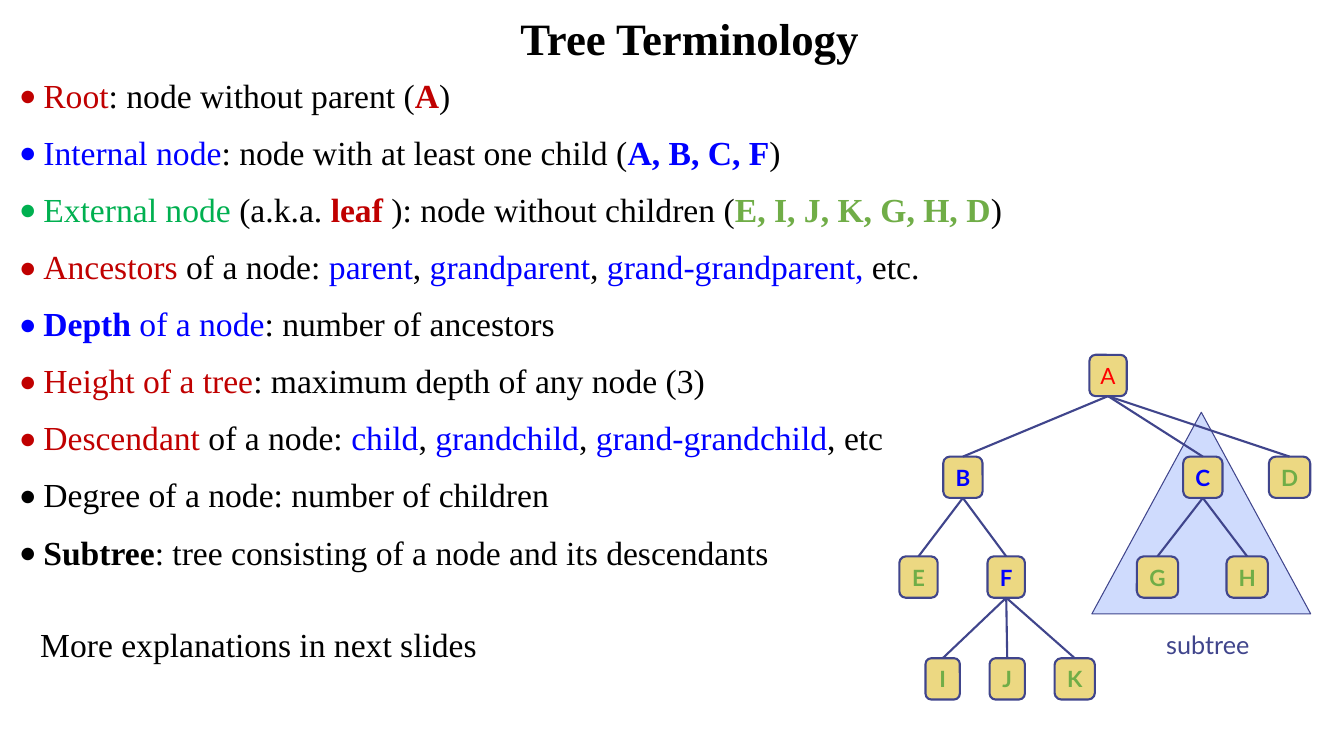
"""Build the Tree Terminology slide: definitions beside a tree with a marked subtree."""
import pptx
import pptx.util
import pptx.dml.color
import pptx.enum.shapes
import pptx.enum.text
import pptx.oxml
import pptx.oxml.ns
from dataclasses import dataclass
from lxml import etree

Inches, Pt = pptx.util.Inches, pptx.util.Pt
ALIGN, ANCHOR = pptx.enum.text.PP_ALIGN, pptx.enum.text.MSO_ANCHOR
SHAPE = pptx.enum.shapes.MSO_SHAPE

TITLE = "Tree Terminology"
DEFINITIONS = [
    [("Root", "red"), (": node without parent (", "black"), ("A", "red bold"), (")", "black")],
    [("Internal node", "blue"), (": node with at least one child (", "black"),
     ("A, B, C, F", "blue bold"), (")", "black")],
    [("External node ", "green"), ("(a.k.a. ", "black"), ("leaf ", "red bold"),
     ("): node without children (", "black"), ("E, I, J, K, G, H, D", "leaf bold"), (")", "black")],
    [("Ancestors", "red"), (" of a node: ", "black"), ("parent", "blue"), (", ", "black"),
     ("grandparent", "blue"), (", ", "black"), ("grand-grandparent, ", "blue"), ("etc.", "black")],
    [("Depth", "blue bold"), (" of a node", "blue"), (": number of ancestors", "black")],
    [("Height of a tree", "red"), (": maximum depth of any node (3)", "black")],
    [("Descendant", "red"), (" of a node: ", "black"), ("child", "blue"), (", ", "black"),
     ("grandchild", "blue"), (", ", "black"), ("grand-grandchild", "blue"), (", etc", "black")],
    [("Degree of a node: number of children", "black")],
    [("Subtree", "black bold"), (": tree consisting of a node and its descendants", "black")],
]
CLOSING = "More explanations in next slides"
SUBTREE_LABEL = "subtree"

ROW_TOPS = (3.52, 4.53, 5.52, 6.53)
NODE_HEIGHT = 0.41
NODES = {
    "A": (10.99, 0, 0.37, "root"),
    "B": (9.55, 1, 0.39, "blue bold"),
    "C": (11.93, 1, 0.39, "blue bold"),
    "D": (12.79, 1, 0.41, "leaf bold"),
    "E": (9.11, 2, 0.38, "leaf bold"),
    "F": (9.98, 2, 0.37, "blue bold"),
    "G": (11.48, 2, 0.41, "leaf bold"),
    "H": (12.37, 2, 0.41, "leaf bold"),
    "I": (9.35, 3, 0.34, "leaf bold"),
    "J": (9.99, 3, 0.35, "leaf bold"),
    "K": (10.66, 3, 0.4, "leaf bold"),
}
CHILDREN = {"A": "BCD", "B": "EF", "C": "GH", "F": "IJK"}


@dataclass
class Theme:
    """Colours, fonts and type sizes."""
    colors = {"black": "000000", "red": "C00000", "blue": "0000FF", "green": "00B050",
              "leaf": "70AD47", "root": "FF0000", "outline": "40458C",
              "node": "ECD882", "subtree": "CFDBFD"}
    serif = "Times New Roman"
    sans = "Lato"
    title, text, label, node = 32, 24, 18, 16
    node_line, triangle_line = 1.5, 0.75


def color(name):
    """Return the theme colour of that name."""
    return pptx.dml.color.RGBColor.from_string(Theme.colors[name])


def apply(target, values):
    """Set each attribute in values on target."""
    for name, value in values.items():
        setattr(target, name, value)


def place(item, left, top, width, height):
    """Position an item, given inches."""
    apply(item, {"left": Inches(left), "top": Inches(top),
                 "width": Inches(width), "height": Inches(height)})


def add_span(para, text, style, font, size):
    """Append a run whose style is a colour name, optionally followed by bold."""
    span = para.add_run()
    span.text = text
    apply(span.font, {"name": font, "size": Pt(size), "bold": style.endswith("bold")})
    span.font.color.rgb = color(style.split()[0])


def write_line(box, text, style, font, size, frame_format, para_format):
    """Fill a box with one formatted line."""
    apply(box.text_frame, {"auto_size": pptx.enum.text.MSO_AUTO_SIZE.NONE, **frame_format})
    para = box.text_frame.paragraphs[0]
    apply(para, para_format)
    add_span(para, text, style, font, size)


def write_definitions(body):
    """Fill the body placeholder with the bulleted definitions."""
    frame = body.text_frame
    apply(frame, {"auto_size": pptx.enum.text.MSO_AUTO_SIZE.NONE, "word_wrap": True,
                  "vertical_anchor": ANCHOR.TOP})
    for index, spans in enumerate(DEFINITIONS):
        para = frame.add_paragraph() if index else frame.paragraphs[0]
        apply(para, {"space_before": Pt(12), "alignment": ALIGN.LEFT})
        props = para._p.get_or_add_pPr()
        props.set("marL", str(Inches(0.25)))
        props.set("indent", str(-Inches(0.25)))
        etree.SubElement(props, pptx.oxml.ns.qn("a:buFont")).set("typeface", Theme.sans)
        etree.SubElement(props, pptx.oxml.ns.qn("a:buChar")).set("char", "•")
        for text, style in spans:
            add_span(para, text, style, Theme.serif, Theme.text)


def add_outlined(page, kind, left, top, width, height, fill, line_width):
    """Add a filled preset shape with the tree's outline colour."""
    shape = page.shapes.add_shape(kind, *map(Inches, (left, top, width, height)))
    shape.shadow.inherit = False
    shape.fill.solid()
    shape.fill.fore_color.rgb = color(fill)
    shape.line.color.rgb = color("outline")
    shape.line.width = Pt(line_width)
    return shape


def add_edge(page, parent, child):
    """Join the bottom of the parent node to the top of the child node."""
    start_x, start_row = NODES[parent][:2]
    end_x, end_row = NODES[child][:2]
    ends = (start_x, ROW_TOPS[start_row] + NODE_HEIGHT, end_x, ROW_TOPS[end_row])
    edge = page.shapes.add_connector(pptx.enum.shapes.MSO_CONNECTOR.STRAIGHT, *map(Inches, ends))
    edge.line.color.rgb = color("outline")
    edge.line.width = Pt(Theme.node_line)
    etree.SubElement(edge._element.spPr, pptx.oxml.ns.qn("a:effectLst"))


def add_tree(page):
    """Draw the subtree marker, the nodes and the edges."""
    add_outlined(page, SHAPE.ISOSCELES_TRIANGLE, 10.83, 4.09, 2.17, 2,
                 "subtree", Theme.triangle_line)
    for name, (center, row, width, style) in NODES.items():
        node = add_outlined(page, SHAPE.ROUNDED_RECTANGLE, center - width / 2, ROW_TOPS[row],
                            width, NODE_HEIGHT, "node", Theme.node_line)
        write_line(node, name, style, Theme.sans, Theme.node,
                   {"word_wrap": False, "vertical_anchor": ANCHOR.MIDDLE},
                   {"alignment": ALIGN.CENTER})
    for parent, children in CHILDREN.items():
        for child in children:
            add_edge(page, parent, child)


def main():
    """Build and save the deck."""
    deck = pptx.Presentation()
    apply(deck, {"slide_width": Inches(13.33), "slide_height": Inches(7.5)})
    page = deck.slides.add_slide(deck.slide_layouts[1])
    title, body = page.placeholders
    place(title, 0.34, 0.1, 13, 0.62)
    write_line(title, TITLE, "black bold", Theme.serif, Theme.title,
               {"word_wrap": True, "vertical_anchor": ANCHOR.MIDDLE},
               {"alignment": ALIGN.CENTER, "line_spacing": 0.9})
    place(body, 0.08, 0.69, 13.27, 5.44)
    write_definitions(body)
    add_tree(page)
    closing = page.shapes.add_textbox(*map(Inches, (0.3, 6.19, 5.32, 0.57)))
    write_line(closing, CLOSING, "black", Theme.serif, Theme.text,
               {"word_wrap": True}, {"line_spacing": 0.9})
    label = page.shapes.add_textbox(*map(Inches, (11.46, 6.19, 1.04, 0.4)))
    write_line(label, SUBTREE_LABEL, "outline", Theme.sans, Theme.label,
               {"word_wrap": False}, {"alignment": ALIGN.CENTER})
    deck.save("out.pptx")


if __name__ == "__main__":
    main()
